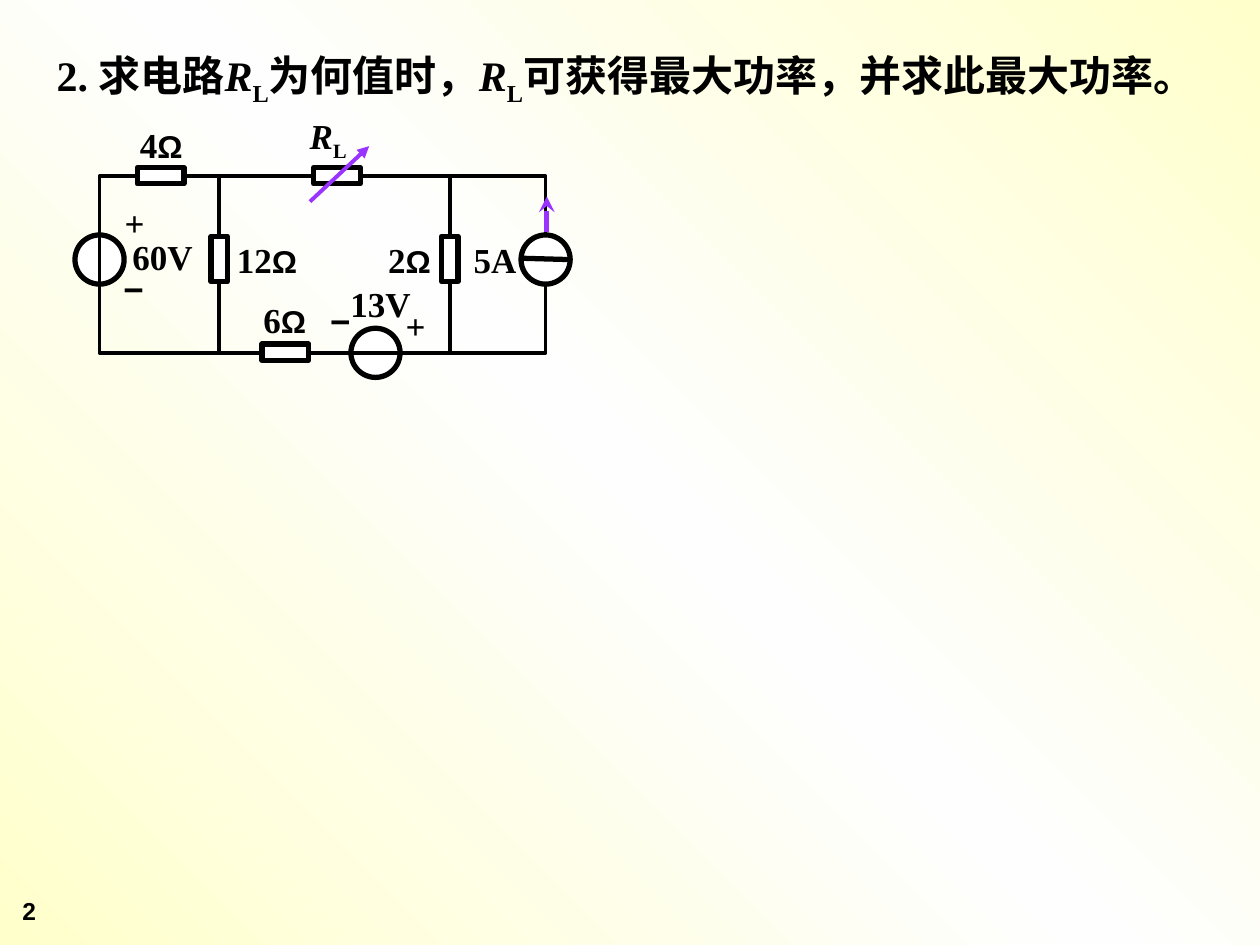
import copy

import pptx
import pptx.dml.color
import pptx.enum.shapes
import pptx.enum.text
import pptx.oxml
import pptx.oxml.ns
import pptx.util
from pptx.util import Inches

COLORS = {"ink": "000000", "paper": "FFFFFF", "arrow": "9933FF",
          "cream": "FFFFCC", "pale": "FEFEFE"}
SERIF, SANS = "Times New Roman", "Arial"
ALIGN = pptx.enum.text.PP_ALIGN
SHAPE = pptx.enum.shapes.MSO_SHAPE

LEFT, RIGHT, TOP, BOTTOM = 0.79, 4.33, 1.4, 2.8
LEFT_BRANCH, RIGHT_BRANCH = 1.74, 3.57
SOURCE_SIZE = 0.39


def rgb(name):
    return pptx.dml.color.RGBColor.from_string(COLORS[name])


class CircuitSlide:
    """Holds the slide and draws circuit elements on it in one style."""

    def __init__(self, slide):
        self.slide = slide

    def background(self):
        fill = self.slide.background.fill
        fill.gradient()
        fill.gradient_angle = 225
        stops = self.slide.element.find(".//" + pptx.oxml.ns.qn("a:gsLst"))
        stops.insert(1, copy.deepcopy(stops[0]))
        for stop, color, place in zip(fill.gradient_stops, ("cream", "pale", "cream"), (0, 0.5, 1)):
            stop.color.rgb = rgb(color)
            stop.position = place

    def text(self, left, top, width, height, parts, size=20, font=SERIF,
             align=ALIGN.CENTER, inset=(0, 0), spacing=None):
        """Parts are (text, kind) pairs; kind is "", "italic", "sub" or "unit"."""
        box = self.slide.shapes.add_textbox(Inches(left), Inches(top), Inches(width), Inches(height))
        frame = box.text_frame
        frame.word_wrap = True
        frame.margin_left = frame.margin_right = Inches(inset[0])
        frame.margin_top = frame.margin_bottom = Inches(inset[1])
        para = frame.paragraphs[0]
        para.alignment = align
        if spacing:
            para.line_spacing = spacing
        para.font.size = pptx.util.Pt(size)
        para.font.bold = True
        para.font.color.rgb = rgb("ink")
        mixed = any(kind == "unit" for _, kind in parts)
        if not mixed:
            para.font.name = font
        for words, kind in parts:
            span = para.add_run()
            span.text = words
            if mixed:
                span.font.name = SANS if kind == "unit" else font
            if kind == "unit":
                span.font.size = pptx.util.Pt(18)
            elif kind == "italic":
                span.font.italic = True
            elif kind == "sub":
                span.font._element.set("baseline", "-25000")
        return box

    def ohms(self, left, top, width, value):
        self.text(left, top, width, 0.37, [(value, ""), ("Ω", "unit")])

    def sign(self, left, top, mark):
        if mark == "+":
            self.text(left, top, 0.33, 0.37, [(mark, "")], align=ALIGN.JUSTIFY)
        else:
            self.text(left, top, 0.39, 0.37, [(mark, "")], font=SANS,
                      align=ALIGN.JUSTIFY, inset=(0.02, 0.01))

    def outline(self, kind, left, top, width, height, weight=3, filled=True):
        shape = self.slide.shapes.add_shape(
            kind, Inches(left), Inches(top), Inches(width), Inches(height))
        shape.shadow.inherit = False
        if filled:
            shape.fill.solid()
            shape.fill.fore_color.rgb = rgb("paper")
        else:
            shape.fill.background()
        shape.line.color.rgb = rgb("ink")
        shape.line.width = pptx.util.Pt(weight)
        return shape

    def source(self, center_x, center_y):
        self.outline(SHAPE.OVAL, center_x - SOURCE_SIZE / 2, center_y - SOURCE_SIZE / 2,
                     SOURCE_SIZE, SOURCE_SIZE)

    def resistor(self, left, top, upright=False):
        shape = self.outline(SHAPE.RECTANGLE, left, top, 0.36 if upright else 0.37, 0.13)
        if upright:
            shape.rotation = 270

    def line(self, x1, y1, x2, y2, color="ink", weight=2.25, head=None):
        wire = self.slide.shapes.add_connector(
            pptx.enum.shapes.MSO_CONNECTOR.STRAIGHT,
            Inches(x1), Inches(y1), Inches(x2), Inches(y2))
        wire.line.color.rgb = rgb(color)
        wire.line.width = pptx.util.Pt(weight)
        if head:
            tail = pptx.oxml.parse_xml(
                f'<a:tailEnd {pptx.oxml.ns.nsdecls("a")} type="{head}"/>')
            wire.line._get_or_add_ln().append(tail)
        wire._element.spPr.append(
            pptx.oxml.parse_xml(f'<a:effectLst {pptx.oxml.ns.nsdecls("a")}/>'))


def main():
    deck = pptx.Presentation()
    deck.slide_width, deck.slide_height = Inches(10), Inches(7.5)
    page = CircuitSlide(deck.slides.add_slide(deck.slide_layouts[6]))
    page.background()

    question = page.text(
        0.35, 0.21, 9.29, 1.21,
        [("2. 求电路", ""), ("R", "italic"), ("L", "sub"), ("为何值时，", ""),
         ("R", "italic"), ("L", "sub"), ("可获得最大功率，并求此最大功率。", "")],
        size=24, align=ALIGN.LEFT, inset=(0.1, 0.05), spacing=1.3)
    question.text_frame.auto_size = pptx.enum.text.MSO_AUTO_SIZE.SHAPE_TO_FIT_TEXT

    # The loop is drawn over the voltage sources, so its wire crosses them.
    for branch in (LEFT_BRANCH, RIGHT_BRANCH):
        page.line(branch, TOP, branch, BOTTOM)
    page.source(2.98, BOTTOM)
    page.source(LEFT, 2.06)
    page.outline(SHAPE.RECTANGLE, LEFT, TOP, RIGHT - LEFT, BOTTOM - TOP, 2.25, filled=False)
    page.source(RIGHT, 2.06)
    page.line(4.14, 2.05, 4.51, 2.06, weight=3)

    for left, top in ((1.09, 1.33), (2.49, 1.33), (2.08, 2.73)):
        page.resistor(left, top)
    for branch in (LEFT_BRANCH, RIGHT_BRANCH):
        page.resistor(branch - 0.18, 1.99, upright=True)

    page.text(1.03, 1.87, 0.52, 0.37, [("60V", "")])
    page.text(3.76, 1.89, 0.54, 0.38, [("5A", "")], align=ALIGN.JUSTIFY)
    page.text(2.78, 2.24, 0.59, 0.37, [("13V", "")], align=ALIGN.JUSTIFY)
    page.text(2.25, 0.91, 0.71, 0.37, [("R", "italic"), ("L", "sub")])
    for left, top, width, value in ((0.95, 0.98, 0.66, "4"), (1.84, 1.89, 0.56, "12"),
                                    (2.94, 1.89, 0.62, "2"), (2, 2.37, 0.52, "6")):
        page.ohms(left, top, width, value)
    for left, top, mark in ((3.22, 2.42, "+"), (0.99, 1.6, "+"),
                            (2.6, 2.37, "−"), (0.96, 2.11, "−")):
        page.sign(left, top, mark)

    page.line(2.46, 1.6, 2.93, 1.16, "arrow", head="triangle")
    page.line(4.34, 1.84, 4.34, 1.56, "arrow", 3, head="stealth")
    page.text(0.08, 7.06, 0.59, 0.36, [("2", "")], size=14, font=SANS,
              align=ALIGN.LEFT, inset=(0.1, 0.05))
    deck.save("out.pptx")


if __name__ == "__main__":
    main()
